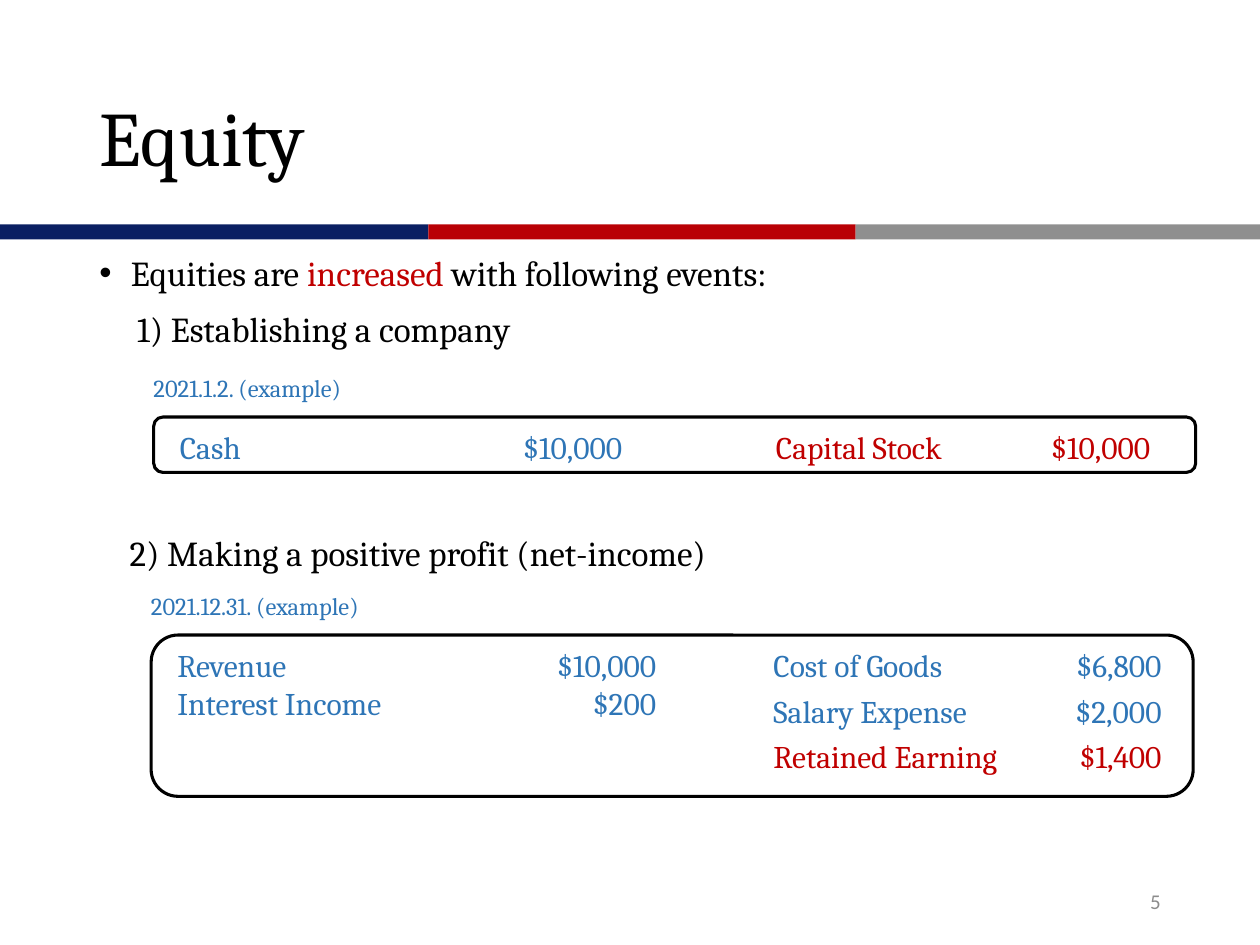
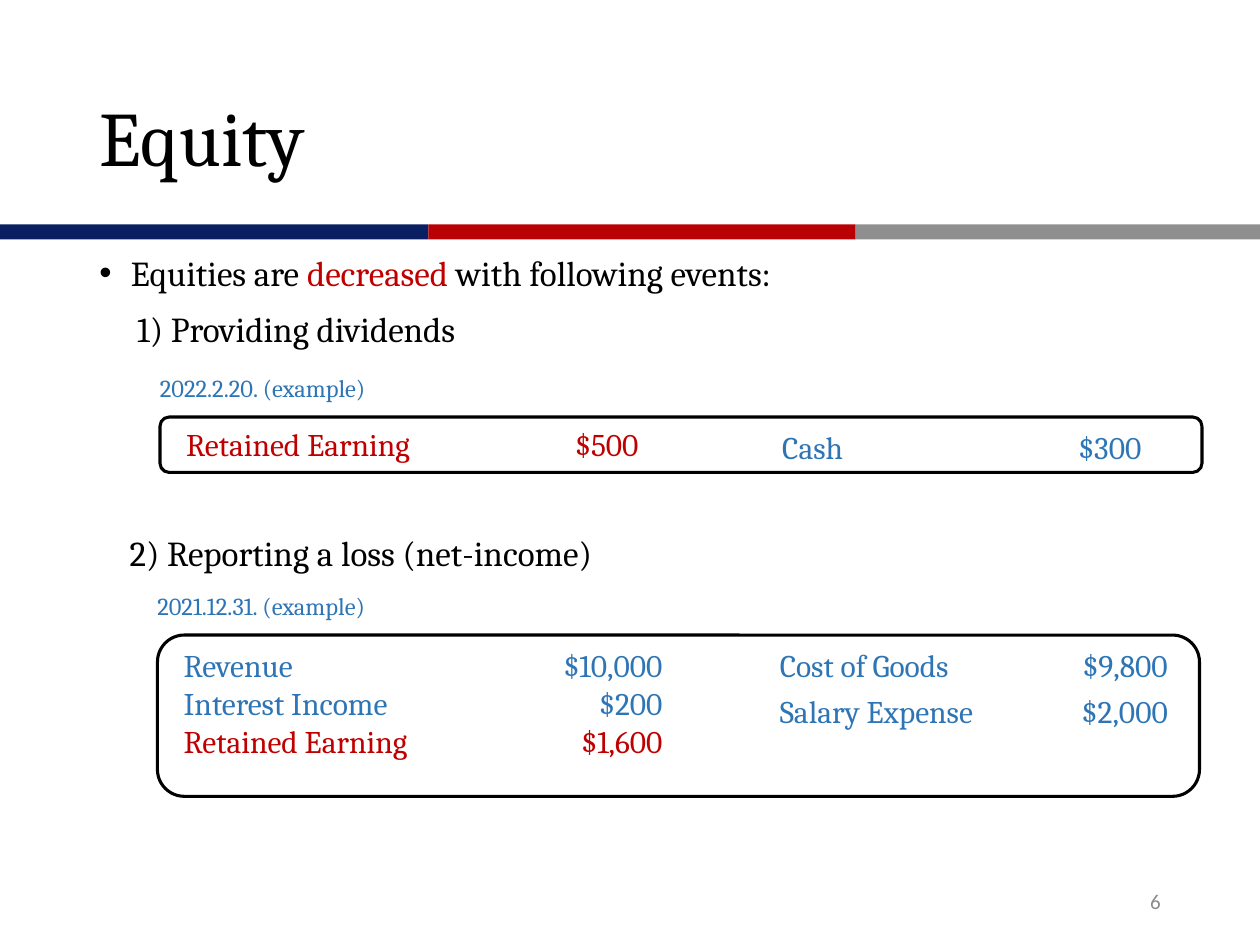
"""Build two slides on the events that increase and decrease equity."""
from lxml import etree
from pptx import Presentation
from pptx.dml.color import RGBColor
from pptx.enum.shapes import MSO_SHAPE
from pptx.enum.text import MSO_ANCHOR, PP_ALIGN
from pptx.oxml.ns import qn
from pptx.util import Inches, Pt

BLACK, BLUE, RED, GRAY = "000000", "2E75B6", "C00000", "8C8C8C"
SERIF, SANS = "Cambria", "Calibri"
RECTANGLE, ROUNDED = MSO_SHAPE.RECTANGLE, MSO_SHAPE.ROUNDED_RECTANGLE
MIDDLE, RIGHT = MSO_ANCHOR.MIDDLE, PP_ALIGN.RIGHT
FIXED = Pt(20)

WIDTH, HEIGHT = 10, 7.5
BAND_TOP, BAND_HEIGHT = 1.78, 0.12
BAND = [("0A1F62", 0, 3.4), ("B90005", 3.4, 6.79), ("8F8F8F", 6.79, WIDTH)]
INSET = 0.1
JOURNAL_WIDTH = 8.27
JOURNAL_PLACES = [(1.22, 3.31, 0.44), (1.2, 5.04, 1.28)]

SLIDES = [
    {
        "title": "Equity", "number": "5", "shift": 0,
        "change": "increased",
        "events": ["1) Establishing a company", "2) Making a positive profit (net-income)"],
        "journals": [
            {"date": "2021.1.2. (example)", "debit_spacing": 1.0, "amount_edges": (4.94, 9.13),
             "debit": [("Cash", "$10,000", BLUE)],
             "credit": [("Capital Stock", "$10,000", RED)]},
            {"date": "2021.12.31. (example)", "debit_spacing": 1.0, "amount_edges": (5.21, 9.22),
             "debit": [("Revenue", "$10,000", BLUE), ("Interest Income", "$200", BLUE)],
             "credit": [("Cost of Goods", "$6,800", BLUE), ("Salary Expense", "$2,000", BLUE),
                        ("Retained Earning", "$1,400", RED)]},
        ],
    },
    {
        "title": "Equity", "number": "6", "shift": 0.05,
        "change": "decreased",
        "events": ["1) Providing dividends", "2) Reporting a loss (net-income)"],
        "journals": [
            {"date": "2022.2.20. (example)", "debit_spacing": FIXED, "amount_edges": (5.07, 9.06),
             "debit": [("Retained Earning", "$500", RED)],
             "credit": [("Cash", "$300", BLUE)]},
            {"date": "2021.12.31. (example)", "debit_spacing": 1.0, "amount_edges": (5.26, 9.27),
             "debit": [("Revenue", "$10,000", BLUE), ("Interest Income", "$200", BLUE),
                       ("Retained Earning", "$1,600", RED)],
             "credit": [("Cost of Goods", "$9,800", BLUE), ("Salary Expense", "$2,000", BLUE)]},
        ],
    },
]


def color(value):
    return RGBColor.from_string(value)


def add_block(slide, kind, left, top, width, height, fill=None, line=None):
    block = slide.shapes.add_shape(kind, Inches(left), Inches(top), Inches(width), Inches(height))
    block.shadow.inherit = False
    if fill:
        block.fill.solid()
        block.fill.fore_color.rgb = color(fill)
    else:
        block.fill.background()
    if line:
        block.line.color.rgb = color(line)
        block.line.width = Pt(1.75)
    else:
        block.line.fill.background()


def add_text(slide, left, top, width, height, paragraphs, size, face=SERIF, anchor=None):
    """Add a text box whose paragraphs are lists of (text, colour) runs."""
    frame = slide.shapes.add_textbox(
        Inches(left), Inches(top), Inches(width), Inches(height)).text_frame
    frame.word_wrap = True
    if anchor is not None:
        frame.vertical_anchor = anchor
    for index, runs in enumerate(paragraphs):
        paragraph = frame.add_paragraph() if index else frame.paragraphs[0]
        for text, tint in runs:
            run = paragraph.add_run()
            run.text = text
            run.font.size, run.font.name = Pt(size), face
            run.font.color.rgb = color(tint)
    return frame.paragraphs


def indent(paragraph, margin, first=0):
    properties = paragraph._p.get_or_add_pPr()
    properties.set("marL", str(Inches(margin)))
    properties.set("indent", str(Inches(first)))
    return properties


def add_outline(slide, change, events):
    statement = [("Equities are ", BLACK), (change, RED), (" with following events:", BLACK)]
    lines = add_text(slide, 0.69, 2, 8.83, 4.76,
                     [statement] + [[(event, BLACK)] for event in events], 20)
    for line, margin, before in zip(lines, (0.25, 0.3, 0.24), (0, 3, 99)):
        line.line_spacing, line.space_after = FIXED, Pt(9)
        if before:
            line.space_before = Pt(before)
        indent(line, margin)
    properties = indent(lines[0], 0.25, -0.25)
    etree.SubElement(properties, qn("a:buFont"), typeface="Arial")
    etree.SubElement(properties, qn("a:buChar"), char="•")


def add_entries(slide, left, top, width, height, entries, amount_edge, spacing):
    rows = [[(f"{account}\t{amount}", tint)] for account, amount, tint in entries]
    for row in add_text(slide, left, top, width, height, rows, 18):
        row.line_spacing = spacing
        if spacing == FIXED:
            row.space_after = Pt(6)
        tabs = etree.SubElement(row._p.get_or_add_pPr(), qn("a:tabLst"))
        etree.SubElement(tabs, qn("a:tab"), pos=str(Inches(amount_edge - left - INSET)), algn="r")


def add_journal(slide, journal, left, top, height):
    debit_edge, credit_edge = journal["amount_edges"]
    add_entries(slide, left + 0.11, top + 0.04, 4.36, height,
                journal["debit"], debit_edge, journal["debit_spacing"])
    add_entries(slide, left + 4.84, top + 0.06, 3.75, height,
                journal["credit"], credit_edge, FIXED)
    add_block(slide, ROUNDED, left, top, JOURNAL_WIDTH, height, line=BLACK)
    add_text(slide, left - INSET, top - 0.4, 2.44, 0.34, [[(journal["date"], BLUE)]], 14)


def add_frame(slide, title, number):
    for fill, start, end in BAND:
        add_block(slide, RECTANGLE, start, BAND_TOP, end - start, BAND_HEIGHT, fill)
    heading = add_text(slide, 0.69, 0.4, 8.98, 1.45, [[(title, BLACK)]], 44, anchor=MIDDLE)
    heading[0].line_spacing = 0.9
    footer = add_text(slide, 7.06, 6.95, 2.25, 0.4, [[(number, GRAY)]], 12, SANS, MIDDLE)
    footer[0].alignment = RIGHT


def main():
    deck = Presentation()
    deck.slide_width, deck.slide_height = Inches(WIDTH), Inches(HEIGHT)
    for content in SLIDES:
        slide = deck.slides.add_slide(deck.slide_layouts[6])
        add_frame(slide, content["title"], content["number"])
        add_outline(slide, content["change"], content["events"])
        for journal, (left, top, height) in zip(content["journals"], JOURNAL_PLACES):
            add_journal(slide, journal, left + content["shift"], top, height)
    deck.save("out.pptx")


if __name__ == "__main__":
    main()
